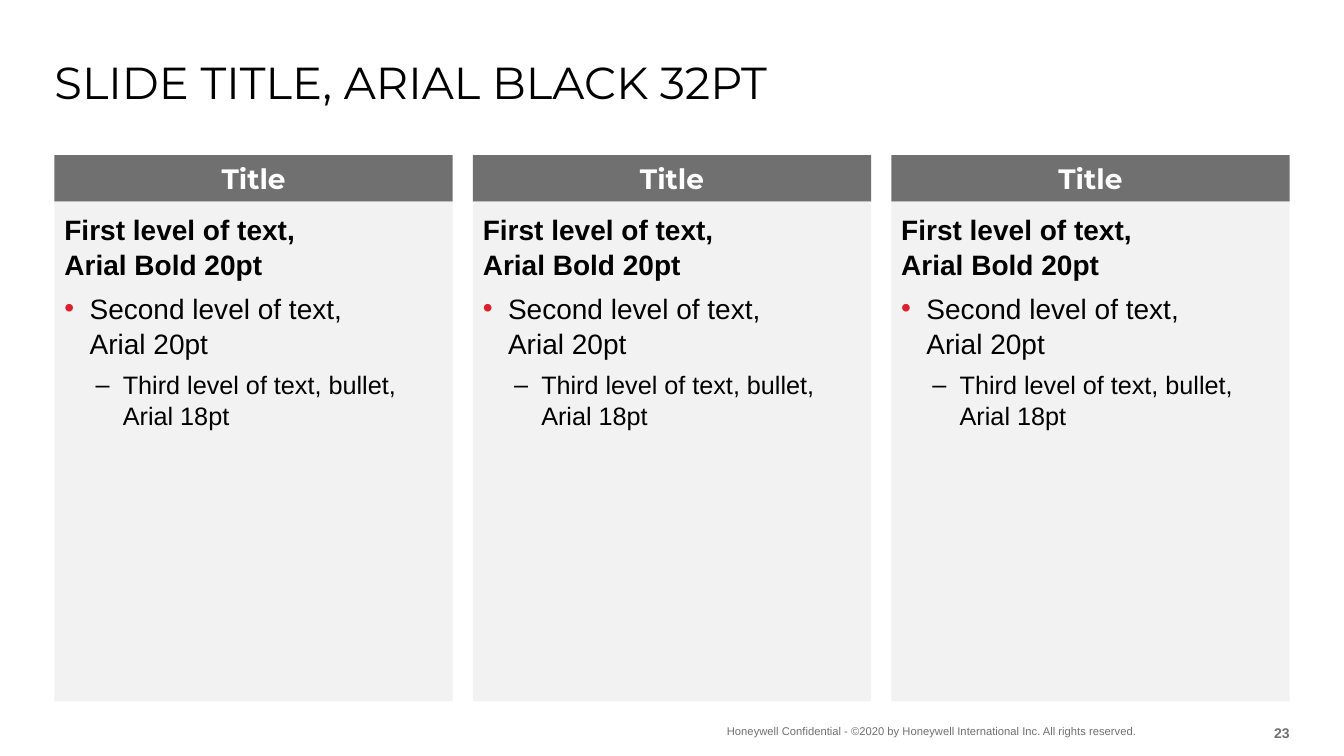
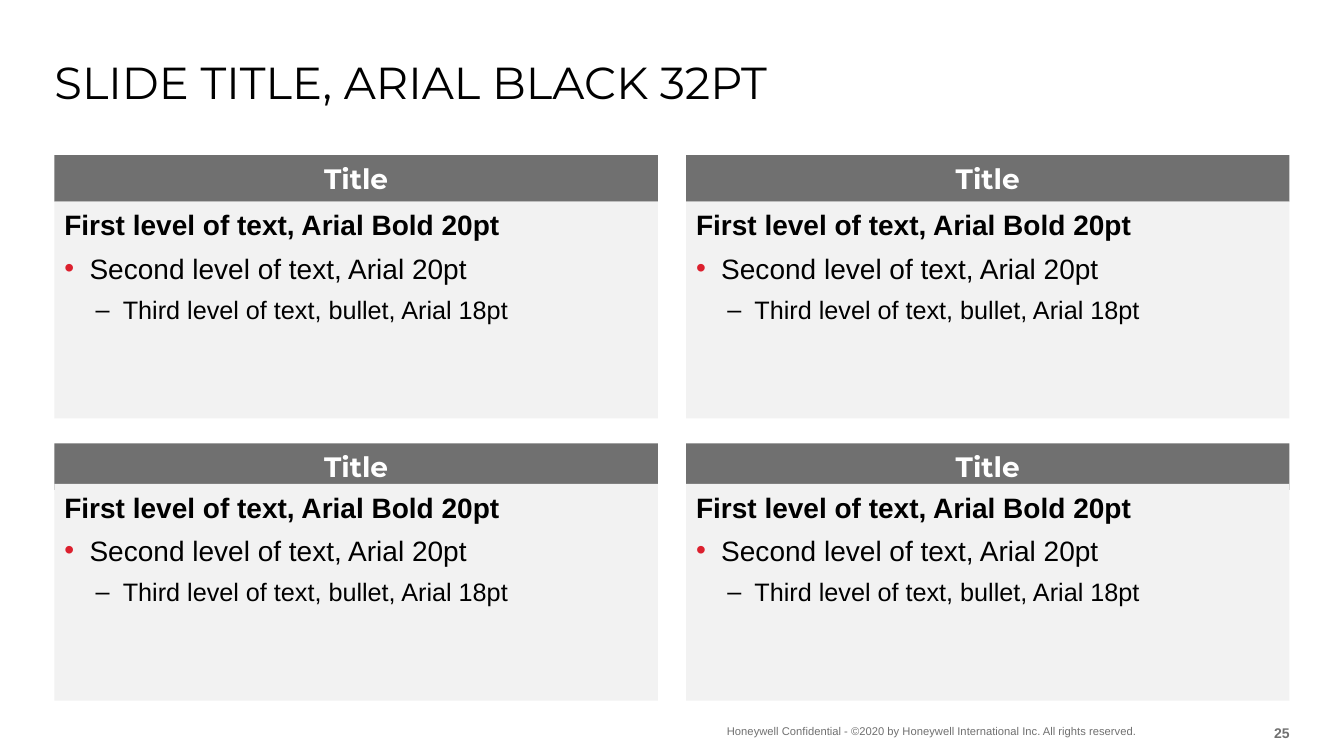
from dataclasses import dataclass

from lxml import etree
from pptx import Presentation
from pptx.dml.color import RGBColor
from pptx.enum.shapes import MSO_SHAPE
from pptx.enum.text import MSO_ANCHOR, MSO_AUTO_SIZE, PP_ALIGN
from pptx.oxml.ns import qn
from pptx.util import Inches, Pt

RECTANGLE = MSO_SHAPE.RECTANGLE
TOP, MIDDLE, BOTTOM = MSO_ANCHOR.TOP, MSO_ANCHOR.MIDDLE, MSO_ANCHOR.BOTTOM
LEFT, CENTER, RIGHT = PP_ALIGN.LEFT, PP_ALIGN.CENTER, PP_ALIGN.RIGHT
NO_AUTOFIT = MSO_AUTO_SIZE.NONE


@dataclass(frozen=True)
class Theme:
    black: str = "000000"
    white: str = "FFFFFF"
    gray: str = "707070"
    panel: str = "F2F2F2"
    red: str = "DC202E"
    heading_font: str = "Montserrat"
    body_font: str = "Arial"
    title_size: int = 32
    text_size: int = 20
    detail_size: int = 18
    footer_size: int = 8
    number_size: int = 10
    line_spacing: float = 1.04
    space_after: int = 6


THEME = Theme()

TITLE = "SLIDE TITLE, ARIAL BLACK 32PT"
FOOTER = "Honeywell Confidential - ©2020 by Honeywell International Inc. All rights reserved."
PANEL_TITLE = "Title"
THIRD_LEVEL = "Third level of text, bullet, Arial 18pt"

SLIDES = [
    {
        "number": "23",
        "columns": 3,
        "gap": 0.2,
        "header_tops": [1.54],
        "body_tops": [2],
        "body_height": 4.96,
        "body_inset": 0.1,
        "levels": [
            "First level of text,\vArial Bold 20pt",
            "Second level of text,\vArial 20pt",
            THIRD_LEVEL,
        ],
    },
    {
        "number": "25",
        "columns": 2,
        "gap": 0.28,
        "header_tops": [1.54, 4.4],
        "body_tops": [2, 4.8],
        "body_height": 2.15,
        "body_inset": 0.05,
        "levels": [
            "First level of text, Arial Bold 20pt",
            "Second level of text, Arial 20pt",
            THIRD_LEVEL,
        ],
    },
]

MARGIN = 0.54
CONTENT_WIDTH = 12.25
HEADER_HEIGHT = 0.46

STYLES = {
    "title": {"name": THEME.heading_font, "size": THEME.title_size, "bold": False, "color": THEME.black},
    "header": {"name": THEME.heading_font, "size": THEME.text_size, "bold": True, "color": THEME.white},
    "footer": {"name": THEME.body_font, "size": THEME.footer_size, "bold": False, "color": THEME.gray},
    "number": {"name": THEME.body_font, "size": THEME.number_size, "bold": True, "color": THEME.gray},
    "first": {"name": THEME.body_font, "size": THEME.text_size, "bold": True, "color": THEME.black},
    "second": {"name": THEME.body_font, "size": THEME.text_size, "bold": False, "color": THEME.black},
    "third": {"name": THEME.body_font, "size": THEME.detail_size, "bold": False, "color": THEME.black},
}

LEVELS = [
    {"style": "first", "bullet": None},
    {"style": "second", "bullet": ("•", THEME.red, 0.25, -0.25)},
    {"style": "third", "bullet": ("‒", THEME.black, 0.58, -0.27)},
]


def write_paragraph(paragraph, text, style, alignment=LEFT):
    paragraph.text = text
    paragraph.alignment = alignment
    for run in paragraph.runs:
        for name, value in STYLES[style].items():
            if name == "color":
                run.font.color.rgb = RGBColor.from_string(value)
            else:
                setattr(run.font, name, Pt(value) if name == "size" else value)


def format_frame(frame, anchor, insets=(0, 0), wrap=True):
    horizontal, vertical = (Inches(inset) for inset in insets)
    settings = {
        "auto_size": NO_AUTOFIT,
        "word_wrap": wrap,
        "vertical_anchor": anchor,
        "margin_left": horizontal,
        "margin_right": horizontal,
        "margin_top": vertical,
        "margin_bottom": vertical,
    }
    for name, value in settings.items():
        setattr(frame, name, value)


def add_bullet(paragraph, character, color, margin, indent):
    properties = paragraph._p.get_or_add_pPr()
    properties.set("marL", str(Inches(margin)))
    properties.set("indent", str(Inches(indent)))
    bullet_color = etree.SubElement(properties, qn("a:buClr"))
    etree.SubElement(bullet_color, qn("a:srgbClr"), val=color)
    etree.SubElement(properties, qn("a:buFont"), typeface=THEME.body_font)
    etree.SubElement(properties, qn("a:buChar"), char=character)


def add_rectangle(slide, box, color):
    shape = slide.shapes.add_shape(RECTANGLE, *map(Inches, box))
    shape.shadow.inherit = False
    shape.fill.solid()
    shape.fill.fore_color.rgb = RGBColor.from_string(color)
    shape.line.fill.background()
    return shape


def add_header(slide, box):
    frame = add_rectangle(slide, box, THEME.gray).text_frame
    format_frame(frame, MIDDLE, (0.1, 0.05))
    write_paragraph(frame.paragraphs[0], PANEL_TITLE, "header", CENTER)


def add_body(slide, box, texts, inset):
    frame = add_rectangle(slide, box, THEME.panel).text_frame
    format_frame(frame, TOP, (0.1, inset))
    for index, (text, level) in enumerate(zip(texts, LEVELS)):
        paragraph = frame.add_paragraph() if index else frame.paragraphs[0]
        write_paragraph(paragraph, text, level["style"])
        paragraph.level = index
        paragraph.line_spacing = THEME.line_spacing
        paragraph.space_after = Pt(THEME.space_after)
        if level["bullet"]:
            add_bullet(paragraph, *level["bullet"])


def add_label(slide, box, text, style, alignment=LEFT, wrap=True):
    frame = slide.shapes.add_textbox(*map(Inches, box)).text_frame
    format_frame(frame, BOTTOM, wrap=wrap)
    write_paragraph(frame.paragraphs[0], text, style, alignment)


def add_frame_slide(presentation, number):
    slide = presentation.slides.add_slide(presentation.slide_layouts.get_by_name("Title Only"))
    title = slide.shapes.title
    title.left, title.top, title.width, title.height = map(
        Inches, (MARGIN, 0.54, CONTENT_WIDTH, 0.46)
    )
    format_frame(title.text_frame, TOP)
    write_paragraph(title.text_frame.paragraphs[0], TITLE, "title")
    add_label(slide, (7.21, 7.08, 4.5, 0.24), FOOTER, "footer", wrap=False)
    add_label(slide, (12.25, 7.09, 0.54, 0.26), number, "number", RIGHT)
    return slide


def add_panels(slide, content):
    columns, gap = content["columns"], content["gap"]
    width = (CONTENT_WIDTH - gap * (columns - 1)) / columns
    lefts = [MARGIN + column * (width + gap) for column in range(columns)]
    for header_top, body_top in zip(content["header_tops"], content["body_tops"]):
        for left in lefts:
            add_header(slide, (left, header_top, width, HEADER_HEIGHT))
            body_box = (left, body_top, width, content["body_height"])
            add_body(slide, body_box, content["levels"], content["body_inset"])


def main():
    presentation = Presentation()
    presentation.slide_width = Inches(13.33)
    presentation.slide_height = Inches(7.5)
    for content in SLIDES:
        add_panels(add_frame_slide(presentation, content["number"]), content)
    presentation.save("out.pptx")


if __name__ == "__main__":
    main()
